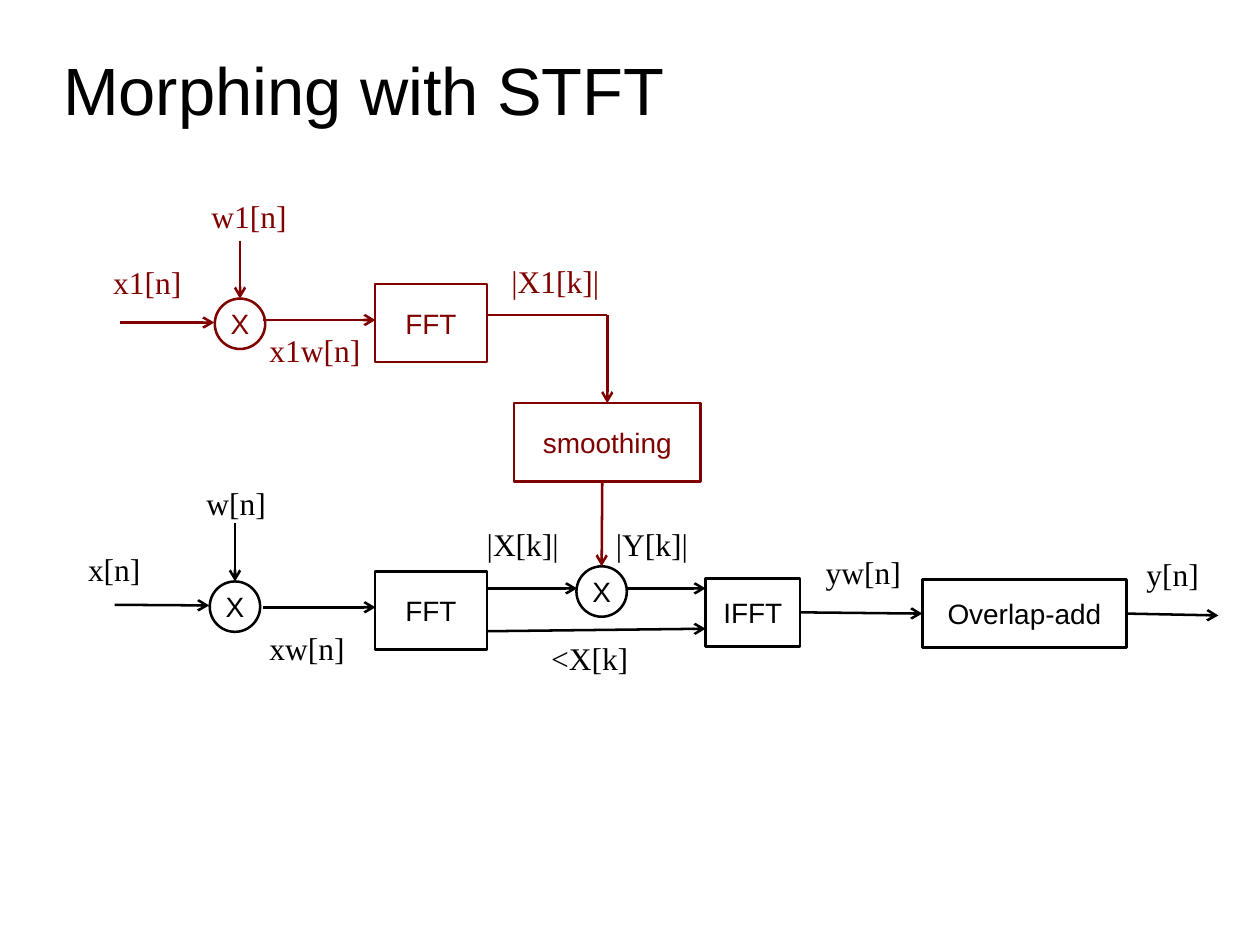
from lxml.etree import SubElement
from pptx import Presentation
from pptx.dml.color import RGBColor
from pptx.enum.shapes import MSO_CONNECTOR, MSO_SHAPE
from pptx.enum.text import MSO_ANCHOR, MSO_AUTO_SIZE, PP_ALIGN
from pptx.oxml.ns import qn
from pptx.util import Inches, Pt

COLORS = {"main": "000000", "morph": "800000"}
SANS, SERIF = "Arial", "Times New Roman"
CELL = 0.1  # inches; the slide is a grid of 100 columns by 75 rows
COLS, ROWS = 100, 75
LINE = Pt(1.45)
TOP, LEFT, RIGHT = 0, 1, 3
BLOCK_H, OUT_H, MIXER_D, LABEL_H = 6.2, 5.4, 4, 3.8


def grid(*cells):
    return [Inches(c * CELL) for c in cells]


def color(role):
    return RGBColor.from_string(COLORS[role])


def write(tf, text, size, font, role, align=PP_ALIGN.LEFT):
    p = tf.paragraphs[0]
    p.alignment = align
    r = p.add_run()
    r.text = text
    r.font.size = Pt(size)
    r.font.name = font
    r.font.color.rgb = color(role)
    return p


def add_title(s, text):
    title = s.shapes.title
    title.left, title.top, title.width, title.height = grid(5, 0.8, 90, 12.5)
    tf = title.text_frame
    tf.margin_left = tf.margin_right = tf.margin_top = tf.margin_bottom = 0
    tf.vertical_anchor = MSO_ANCHOR.MIDDLE
    tf.auto_size = MSO_AUTO_SIZE.NONE
    write(tf, text, 38.2, SANS, "main")


def add_node(s, kind, text, role, col, row, cols, rows):
    sp = s.shapes.add_shape(kind, *grid(col, row, cols, rows))
    sp.shadow.inherit = False
    sp.fill.background()
    sp.line.color.rgb = color(role)
    sp.line.width = LINE
    tf = sp.text_frame
    tf.vertical_anchor = MSO_ANCHOR.MIDDLE
    write(tf, text, 16, SANS, role, PP_ALIGN.CENTER)
    return sp


def add_block(s, text, role, col, row, cols, rows=BLOCK_H):
    return add_node(s, MSO_SHAPE.RECTANGLE, text, role, col, row, cols, rows)


def add_mixer(s, role, col, row):
    """Multiplier circle marked X."""
    sp = add_node(s, MSO_SHAPE.OVAL, "X", role, col, row, MIXER_D, MIXER_D)
    tf = sp.text_frame
    tf.margin_left = tf.margin_right = tf.margin_top = tf.margin_bottom = 0
    tf.word_wrap = False
    return sp


def add_label(s, text, role, col, row, cols):
    tf = s.shapes.add_textbox(*grid(col, row, cols, LABEL_H)).text_frame
    tf.word_wrap = True
    tf.margin_right = 0
    write(tf, text, 18, SERIF, role).line_spacing = 0.93


def add_signal(s, role, start, end, begin=None, finish=None, arrow=True):
    """Signal line; begin and finish are (shape, side) pairs to join."""
    line = s.shapes.add_connector(MSO_CONNECTOR.STRAIGHT, *grid(*start, *end))
    line.line.color.rgb = color(role)
    line.line.width = LINE
    if begin:
        line.begin_connect(*begin)
    if finish:
        line.end_connect(*finish)
    if arrow:
        SubElement(line.line._get_or_add_ln(), qn("a:tailEnd"), type="arrow")
    SubElement(line._element.spPr, qn("a:effectLst"))


def add_morph_chain(s):
    role = "morph"
    add_block(s, "FFT", role, 29.75, 22.55, 8.9)
    smoothing = add_block(s, "smoothing", role, 40.8, 32, 14.8)
    window = add_mixer(s, role, 17.05, 23.7)
    add_signal(s, role, (9.5, 25.6), (17, 25.6))
    add_signal(s, role, (20.9, 25.4), (29.8, 25.4))
    add_signal(s, role, (19.05, 19.1), (19.05, 23.7), finish=(window, TOP))
    add_signal(s, role, (38.6, 25), (48.2, 25), arrow=False)
    add_signal(s, role, (48.2, 25), (48.2, 32), finish=(smoothing, TOP))
    for label in [("w1[n]", 15.8, 15.4, 7.9), ("x1[n]", 8, 20.65, 7.4),
                  ("x1w[n]", 20.4, 26.05, 9.2), ("|X1[k]|", 39.6, 20.6, 8.9)]:
        add_label(s, label[0], role, *label[1:])


def add_main_chain(s):
    role = "main"
    add_block(s, "FFT", role, 29.75, 45.35, 8.9)
    ifft = add_block(s, "IFFT", role, 56, 45.9, 7.5, OUT_H)
    overlap = add_block(s, "Overlap-add", role, 73.2, 46, 16.2, OUT_H)
    window = add_mixer(s, role, 16.65, 46.15)
    product = add_mixer(s, role, 45.75, 44.95)
    add_signal(s, role, (9.1, 48), (16.6, 48.05))
    add_signal(s, role, (20.9, 48.2), (29.8, 48.2))
    add_signal(s, role, (18.65, 41.5), (18.65, 46.15), finish=(window, TOP))
    add_signal(s, role, (38.7, 46.7), (45.8, 46.7))
    add_signal(s, role, (49.8, 46.7), (56, 46.7))
    add_signal(s, role, (38.6, 50.1), (56, 49.9))
    add_signal(s, role, (63.5, 48.6), (73.2, 48.7), (ifft, RIGHT), (overlap, LEFT))
    add_signal(s, role, (89.4, 48.7), (96.7, 48.85), begin=(overlap, RIGHT))
    add_signal(s, "morph", (47.8, 38.2), (47.8, 45), finish=(product, TOP))
    for label in [("w[n]", 15.4, 38.2, 6.7), ("x[n]", 6, 43.4, 6.1),
                  ("xw[n]", 20.4, 49.7, 7.9), ("|X[k]|", 37.65, 41.45, 7.7),
                  ("|Y[k]|", 47.9, 41.45, 7.7), ("<X[k]", 42.75, 50.5, 8.1),
                  ("yw[n]", 64.55, 43.65, 7.9), ("y[n]", 90, 43.8, 6.1)]:
        add_label(s, label[0], role, *label[1:])


def main():
    prs = Presentation()
    prs.slide_width, prs.slide_height = grid(COLS, ROWS)
    s = prs.slides.add_slide(prs.slide_layouts[5])
    add_title(s, "Morphing with STFT")
    add_morph_chain(s)
    add_main_chain(s)
    prs.save("out.pptx")


if __name__ == "__main__":
    main()
